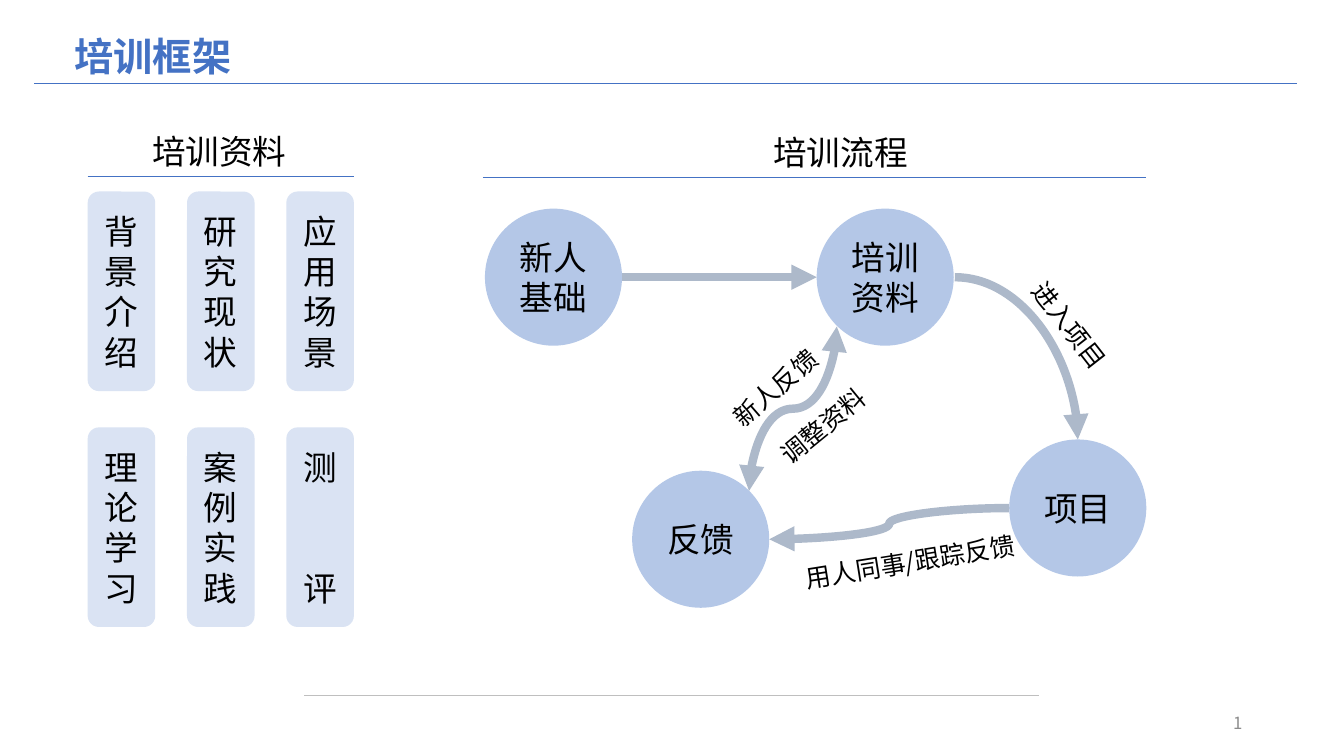
from dataclasses import dataclass

from lxml import etree
from pptx import Presentation
from pptx import util as u
from pptx.dml.color import RGBColor
from pptx.enum import shapes, text
from pptx.oxml import ns

CJK = "Noto Sans CJK SC"
BLUE, GREY = "4472C4", "ADB9CA"
SIDE = 1.36
CURVE = shapes.MSO_CONNECTOR.CURVE
ALIGN = text.PP_ALIGN
ANCHOR = text.MSO_ANCHOR


@dataclass
class Node:
    left: float
    top: float
    words: str


@dataclass
class Label:
    left: float
    top: float
    width: float
    words: str
    size: int = 18
    turn: float = 0
    high: float = 0.4
    wrap: bool = False
    align: ALIGN = ALIGN.LEFT
    color: str = "000000"


@dataclass
class Link:
    start: tuple[float, float]
    end: tuple[float, float]
    color: str = BLUE
    width: float = 0.5
    head: bool = False
    tail: bool = False
    kind: shapes.MSO_CONNECTOR = shapes.MSO_CONNECTOR.STRAIGHT
    preset: str = ""
    turn: int = 0


def paint(color: str) -> RGBColor:
    return RGBColor.from_string(color)


def write(shape, words: str, size: int, align: ALIGN, color: str = "000000",
          font: str = CJK, bold: bool = False) -> None:
    frame = shape.text_frame
    frame.text = words
    for para in frame.paragraphs:
        para.alignment = align
        para.line_spacing = u.Pt(size * 1.2)
        for run in para.runs:
            run.font.name = font
            run.font.size = u.Pt(size)
            run.font.bold = bold
            run.font.color.rgb = paint(color)
            east = etree.SubElement(run.font._element, ns.qn("a:ea"))
            east.set("typeface", CJK)


def block(slide, kind: shapes.MSO_SHAPE, node: Node, width: float,
          high: float, fill: str):
    shape = slide.shapes.add_shape(
        kind, u.Inches(node.left), u.Inches(node.top), u.Inches(width), u.Inches(high))
    shape.shadow.inherit = False
    shape.fill.solid()
    shape.fill.fore_color.rgb = paint(fill)
    shape.line.fill.background()
    shape.text_frame.word_wrap = True
    shape.text_frame.vertical_anchor = ANCHOR.MIDDLE
    write(shape, node.words, 24, ALIGN.CENTER)
    return shape


def note(slide, label: Label) -> None:
    box = slide.shapes.add_textbox(
        u.Inches(label.left), u.Inches(label.top), u.Inches(label.width), u.Inches(label.high))
    box.rotation = label.turn
    box.text_frame.word_wrap = label.wrap
    write(box, label.words, label.size, label.align, label.color)


def join(slide, link: Link) -> None:
    line = slide.shapes.add_connector(
        link.kind, *(u.Inches(n) for n in link.start + link.end))
    line.line.color.rgb = paint(link.color)
    line.line.width = u.Pt(link.width)
    props = line.element.spPr
    stroke = props.find(ns.qn("a:ln"))
    for tag, wanted in (("a:headEnd", link.head), ("a:tailEnd", link.tail)):
        if wanted:
            etree.SubElement(stroke, ns.qn(tag)).set("type", "triangle")
    etree.SubElement(props, ns.qn("a:effectLst"))
    if link.preset:
        props.find(ns.qn("a:prstGeom")).set("prst", link.preset)
    if link.turn:
        props.find(ns.qn("a:xfrm")).set("rot", str(link.turn * 60000))


# Rules under the title, in the footer and under both headings
RULES = [
    Link((0.34, 0.83), (12.86, 0.83)),
    Link((3.02, 6.9), (10.31, 6.9), "BFBFBF", 0.25),
    Link((0.87, 1.75), (3.51, 1.75)),
    Link((4.79, 1.76), (11.37, 1.76)),
]
CARDS = [
    (1.9, ["背景介绍", "研究现状", "应用场景"]),
    (4.24, ["理论学习", "案例实践", "测\n评"]),
]
STEPS = [
    Node(4.81, 2.07, "新人基础"),
    Node(8.1, 2.07, "培训资料"),
    Node(6.27, 4.67, "反馈"),
    Node(10.01, 4.36, "项目"),
]
FLOWS = [
    Link((6.17, 2.75), (8.1, 2.75), GREY, 6, tail=True),
    Link((9.47, 2.75), (10.69, 4.36), GREY, 6, tail=True, kind=CURVE,
         preset="curvedConnector2"),
    Link((10.01, 5.04), (7.63, 5.35), GREY, 6, tail=True, kind=CURVE),
    Link((8.68, 4.49), (7.05, 3.62), GREY, 6, head=True, tail=True, kind=CURVE,
         turn=90),
]
LABELS = [
    Label(1.41, 1.25, 1.55, "培训资料", 24, high=0.5),
    Label(7.57, 1.26, 1.55, "培训流程", 24, high=0.5),
    Label(10.01, 3.03, 1.21, "进入项目", turn=52),
    Label(7.88, 5.37, 2.32, "用人同事/跟踪反馈", turn=350.9, wrap=True),
    Label(7.56, 4.02, 1.21, "调整资料", turn=320.7),
    Label(7.09, 3.64, 1.22, "新人反馈", turn=319),
    Label(9.42, 7.02, 3, "1", 12, wrap=True, align=ALIGN.RIGHT, color="8C8C8C"),
]


def main() -> None:
    deck = Presentation()
    deck.slide_width, deck.slide_height = u.Inches(13.33), u.Inches(7.5)
    slide = deck.slides.add_slide(deck.slide_layouts[5])

    # Title
    title = slide.shapes.title
    title.left, title.top = u.Inches(0.64), u.Inches(0.22)
    title.width, title.height = u.Inches(11.02), u.Inches(0.66)
    title.text_frame.vertical_anchor = ANCHOR.MIDDLE
    write(title, "培训框架", 28, ALIGN.LEFT, BLUE, "Arial", True)

    for rule in RULES:
        join(slide, rule)

    # Training material cards
    for top, row in CARDS:
        for col, words in enumerate(row):
            card = block(slide, shapes.MSO_SHAPE.ROUNDED_RECTANGLE,
                         Node(0.87 + col * 0.985, top, words), 0.67, 1.98, "DAE3F3")
            for para in card.text_frame.paragraphs[1:]:
                para.space_before = u.Pt(57.6)

    # Training flow
    for step in STEPS:
        block(slide, shapes.MSO_SHAPE.OVAL, step, SIDE, SIDE, "B4C7E7")
    for flow in FLOWS:
        join(slide, flow)

    # Headings, flow labels and page number
    for label in LABELS:
        note(slide, label)

    deck.save("out.pptx")


if __name__ == "__main__":
    main()
